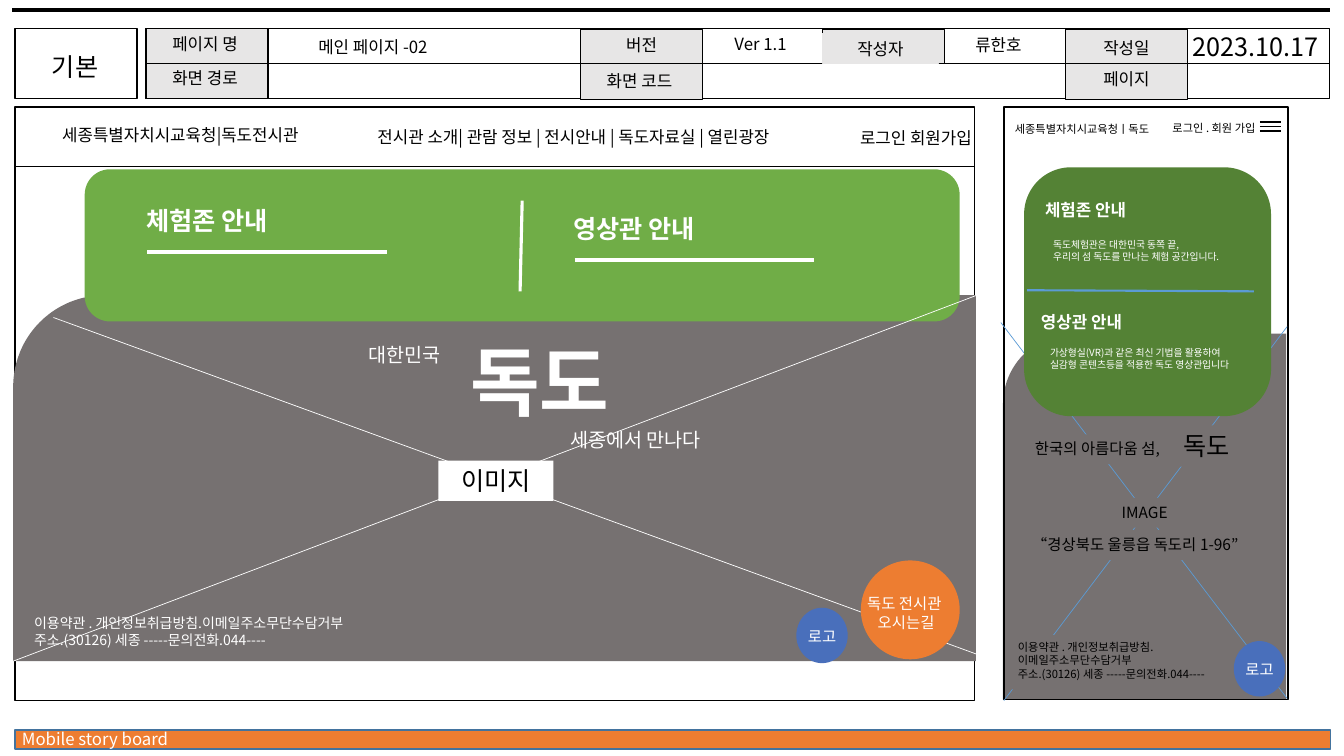
from dataclasses import dataclass
from typing import Any

from lxml import etree
from pptx import Presentation
from pptx.dml.color import RGBColor
from pptx.enum.shapes import MSO_CONNECTOR, MSO_SHAPE
from pptx.enum.text import MSO_ANCHOR, MSO_AUTO_SIZE, PP_ALIGN
from pptx.oxml.ns import qn
from pptx.util import Pt

RECTANGLE = MSO_SHAPE.RECTANGLE
ROUNDED = MSO_SHAPE.ROUNDED_RECTANGLE
ONE_ROUND_CORNER = MSO_SHAPE.ROUND_1_RECTANGLE
OVAL = MSO_SHAPE.OVAL
STRAIGHT = MSO_CONNECTOR.STRAIGHT
LEFT, CENTER, RIGHT = PP_ALIGN.LEFT, PP_ALIGN.CENTER, PP_ALIGN.RIGHT
TOP = MSO_ANCHOR.TOP
FIT_SHAPE = MSO_AUTO_SIZE.SHAPE_TO_FIT_TEXT

FONT = "Noto Sans CJK KR"
LINE_HEIGHT = 1.2
COLORS = {
    "black": "000000", "white": "FFFFFF", "label": "E7E6E6", "image": "767171",
    "panel": "70AD47", "mobile_panel": "548235", "orange": "ED7D31",
    "bar_edge": "43739E", "logo": "496FBB", "blue": "5B9BD5",
}
TERMS = "이용약관 . 개인정보취급방침.이메일주소무단수담거부\n주소.(30126) 세종 -----문의전화.044----"


def rgb(name):
    """Return the named colour."""
    return RGBColor.from_string(COLORS[name])


@dataclass
class Region:
    """A box on the slide; its parts are placed from its top left corner."""
    slide: Any
    left: float
    top: float
    width: float
    height: float

    def shape(self, kind, left, top, width, height, fill=None, line=None, weight=1):
        """Add a preset shape."""
        shape = self.slide.shapes.add_shape(
            kind, Pt(self.left + left), Pt(self.top + top), Pt(width), Pt(height))
        shape.shadow.inherit = False
        if fill:
            shape.fill.solid()
            shape.fill.fore_color.rgb = rgb(fill)
        else:
            shape.fill.background()
        if line:
            shape.line.color.rgb = rgb(line)
            shape.line.width = Pt(weight)
        else:
            shape.line.fill.background()
        return shape

    def line(self, x1, y1, x2, y2, color="black", weight=1):
        """Add a straight line."""
        connector = self.slide.shapes.add_connector(
            STRAIGHT, Pt(self.left + x1), Pt(self.top + y1),
            Pt(self.left + x2), Pt(self.top + y2))
        connector.line.color.rgb = rgb(color)
        connector.line.width = Pt(weight)
        etree.SubElement(connector.element.spPr, qn("a:effectLst"))

    def text(self, text, left, top, width, height, size=12, color="black",
             align=LEFT, bold=False, fill=None, wrap=True):
        """Add a text box, filled where it covers what lies below."""
        box = self.slide.shapes.add_textbox(
            Pt(self.left + left), Pt(self.top + top), Pt(width), Pt(height))
        if fill:
            box.fill.solid()
            box.fill.fore_color.rgb = rgb(fill)
        frame = box.text_frame
        frame.text = text
        frame.word_wrap = wrap
        frame.auto_size = FIT_SHAPE
        frame.vertical_anchor = TOP
        for paragraph in frame.paragraphs:
            paragraph.alignment = align
            paragraph.line_spacing = Pt(size * LINE_HEIGHT)
            for run in paragraph.runs:
                run.font.size = Pt(size)
                run.font.bold = bold
                run.font.name = FONT
                run.font.color.rgb = rgb(color)
                east_asian = etree.SubElement(run.font._element, qn("a:ea"))
                east_asian.set("typeface", FONT)
        return box

    def image_area(self, left, top, width, height):
        """Add the grey image area, rounded at its top left."""
        shape = self.shape(ONE_ROUND_CORNER, left, top, width, height, "image")
        shape.adjustments[0] = 0.25
        shape.element.spPr.find(qn("a:xfrm")).set("flipH", "1")

    def logo(self, left, top):
        """Add the round logo button."""
        self.shape(OVAL, left, top, 36.7, 39.6, "logo")
        self.text("로고", left - 7.9, top + 10.4, 52.6, 13, 11, "white", CENTER)


def add_header(region):
    """Draw the page information table."""
    column, row = 87.1, region.height / 2
    table_left = 93.6
    region.shape(RECTANGLE, 0, 0, column, region.height, line="black")
    region.shape(RECTANGLE, table_left, 0, region.width - table_left, region.height,
                 line="black")
    for left, top, height in ((table_left, 0, region.height), (403.9, 0.7, region.height),
                              (576.7, 0.7, row - 0.7), (750.2, 0.7, region.height)):
        region.shape(RECTANGLE, left, top, column, height, "label", "black")
    region.line(table_left, row, region.width, row, weight=0.5)
    region.text("기본", 1.4, 13, 82.8, 30.2, 18, align=CENTER)
    for label, left, top in (("페이지 명", 94.3, 0.7), ("화면 경로", 94.3, 24.5),
                             ("버전", 406.1, 1.4), ("화면 코드", 404.6, 26.6),
                             ("작성자", 576.7, 3.6), ("작성일", 752.4, 2.9),
                             ("페이지", 752.4, 25.2)):
        box = region.text(label, left, top, 82.8, 21.6, align=CENTER)
        if label == "작성자":
            box.line.color.rgb = rgb("label")
            box.line.width = Pt(0.75)
    for value, left, top, size in (("류한호", 630, 1.4, 12), ("2023.10.17", 813.6, -1.4, 18),
                                   ("Ver 1.1", 460.1, 0.7, 12)):
        region.text(value, left, top, 144.7, size * 1.2 + 7.2, size, align=CENTER)
    region.text("메인 페이지 -02", 209.5, 2.2, 165.6, 21.6)


def add_desktop(region):
    """Draw the desktop main page."""
    region.shape(RECTANGLE, 0, 0, region.width, region.height, line="black")
    region.shape(RECTANGLE, 0, 42.5, region.width, 352.8, line="black")
    region.text("세종특별자치시교육청|독도전시관", 7.9, 9.4, 220.3, 21.6, align=CENTER)
    region.text("전시관 소개| 관람 정보 | 전시안내 | 독도자료실 | 열린광장",
                231.8, 10.8, 334.1, 21.6, align=CENTER)
    region.text("로그인 회원가입", 409, 11.5, 281.5, 21.6, align=RIGHT)

    region.image_area(-1.4, 134.6, 687.6, 261.4)
    region.text(TERMS, 6.5, 359.3, 425.5, 31.7, 10, "white", fill="image")

    region.shape(ROUNDED, 49.7, 44.6, 625, 108.7, "panel")
    for heading, left, top in (("체험존 안내", 86.4, 67), ("영상관 안내", 391.7, 72.7)):
        region.text(heading, left, top, 115.9, 28.8, 18, "white", bold=True)
        region.line(left + 7.9, top + 36.7, left + 179.3, top + 36.7, "white", 2.25)
    region.line(360.7, 131.8, 362.2, 67, "white", 2.25)

    region.line(-1.4, 396, 686.9, 134.6, "white", 0.5)
    region.line(27.4, 150.5, 686.9, 391, "white", 0.5)
    region.text("이미지", 302.4, 252.7, 82.1, 28.8, 18, align=CENTER, fill="white")
    region.text("대한민국", 233.3, 164.9, 90, 24.5, 14, "white", CENTER)
    region.text("독도", 298.8, 159.1, 151.9, 72.7, 54, "white", CENTER, bold=True)
    region.text("세종에서 만나다", 352.8, 226.1, 180.7, 24.5, 14, "white", CENTER)

    region.logo(558, 357.8)
    region.shape(OVAL, 604.1, 324, 70.6, 70.6, "orange")
    region.text("독도 전시관 \n오시는길", 598.3, 344.9, 76.3, 33.8, 11, "white", CENTER)


def add_mobile(region):
    """Draw the mobile main page."""
    region.image_area(-0.7, 162, 202.3, 261.4)
    region.shape(RECTANGLE, 0, 0, region.width, region.height, line="black")
    region.text("세종특별자치시교육청ㅣ독도", 0.7, 7.2, 134.6, 18, 8)
    region.text("로그인 . 회원 가입 ", 99.4, 6.5, 89.3, 18, 8, align=RIGHT)
    for bar in range(3):
        bar_top = 10.8 + 3.2 * bar
        region.line(182.9, bar_top, 198, bar_top)
    region.line(-2.2, 154.1, 202.3, 422.6, "blue", 0.5)
    region.line(202.3, 157, 0, 424.1, "blue", 0.5)

    panel = region.shape(ROUNDED, 14.4, 43.2, 176.4, 177.8, "mobile_panel")
    panel.adjustments[0] = 0.19
    region.line(16.6, 131, 178.6, 131.8, "blue", 1.5)
    for heading, left, top in (("체험존 안내", 22.3, 62.6), ("영상관 안내", 19.4, 142.6)):
        region.text(heading, left, top, 83.5, 23.8, 12, "white", bold=True)
    region.text("독도체험관은 대한민국 동쪽 끝,\n우리의 섬 독도를 만나는 체험 공간입니다.",
                28.1, 90.7, 146.2, 25.9, 7, "white")
    region.text("가상형실(VR)과 같은 최신 기법을 활용하여\n실감형 콘텐츠등을 적용한 독도 영상관입니다",
                25.9, 167.8, 158.4, 25.9, 7, "white")

    for caption, left, top, width, size in (
            ("한국의 아름다움 섬,", 15.1, 234, 113.8, 11), ("IMAGE", 77, 279.4, 49, 11),
            ("독도", 121, 227.5, 51.1, 18),
            ("“경상북도 울릉읍 독도리 1-96”", 13, 302.4, 168.5, 11)):
        region.text(caption, left, top, width, size * 1.2 + 8, size,
                    fill="image", wrap=False)
    region.text(TERMS, 2.9, 377.3, 157.7, 38.9, 8, fill="image")
    region.logo(164.2, 381.6)


def add_footer(region):
    """Draw the orange title bar."""
    region.shape(RECTANGLE, 0, 0, region.width, region.height, "orange", "bar_edge")
    region.text("Mobile story board", -2.2, -4.3, 230.4, 21.6, color="white")


def main():
    """Build and save the storyboard."""
    presentation = Presentation()
    presentation.slide_width = Pt(960)
    presentation.slide_height = Pt(540)
    slide = presentation.slides.add_slide(presentation.slide_layouts[6])
    Region(slide, 0, 0, 960, 540).line(8.6, 7.2, 949.7, 7.2, weight=3)
    add_footer(Region(slide, 10.8, 521.3, 939.6, 13.7))
    add_header(Region(slide, 10.8, 20.2, 938.9, 50.4))
    add_desktop(Region(slide, 10.8, 76.3, 685.4, 424.1))
    add_mobile(Region(slide, 717.1, 76.3, 203, 423.4))
    presentation.save("out.pptx")


main()
